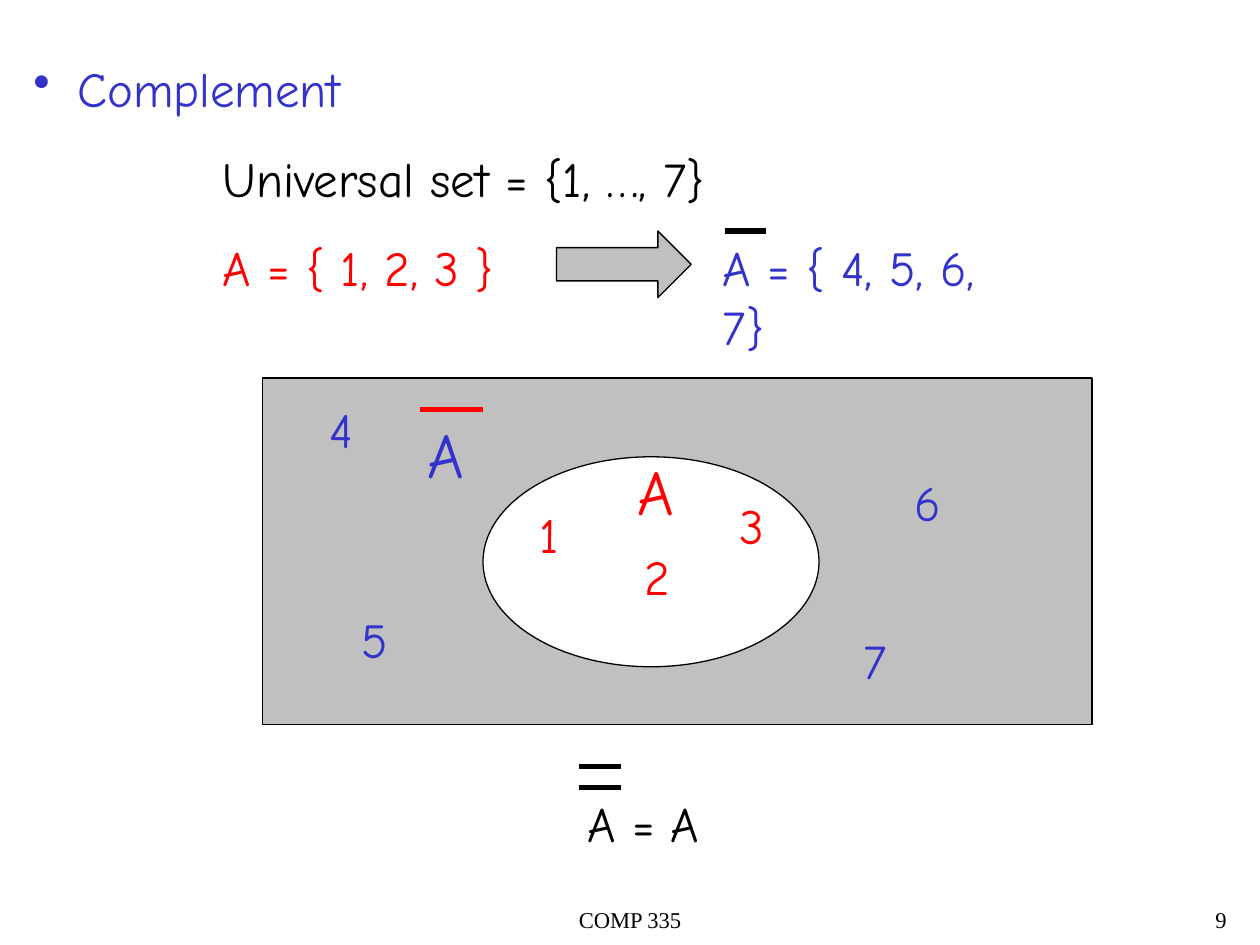
from pptx import Presentation
from pptx.dml.color import RGBColor
from pptx.enum.shapes import MSO_CONNECTOR, MSO_SHAPE
from pptx.enum.text import MSO_ANCHOR, MSO_AUTO_SIZE, PP_ALIGN
from pptx.oxml.ns import qn
from pptx.util import Pt
from lxml.etree import SubElement

BLUE, RED, BLACK, GREY, WHITE = "3333CC", "FF0000", "000000", "C0C0C0", "FFFFFF"


def color(code):
    return RGBColor.from_string(code)


class Board:
    face = "Comic Neue"
    size = 28

    def __init__(self, slide):
        self.slide = slide
        self.items = slide.shapes

    def style(self, para, text, code, size=None, face=None, align=PP_ALIGN.LEFT):
        para.text = text
        para.alignment = align
        font = para.font
        font.name = face or self.face
        font.size = Pt(size or self.size)
        font.color.rgb = color(code)

    def frame(self, x, y, w, h, wrap=True):
        frame = self.items.add_textbox(Pt(x), Pt(y), Pt(w), Pt(h)).text_frame
        frame.word_wrap = wrap
        frame.auto_size = MSO_AUTO_SIZE.NONE if wrap else MSO_AUTO_SIZE.SHAPE_TO_FIT_TEXT
        return frame

    def label(self, text, x, y, w, code):
        frame = self.frame(x, y, w, 41, False)
        self.style(frame.paragraphs[0], text, code)

    def title(self, text, x, y, code):
        frame = self.frame(x, y, 35, 50, False)
        frame.vertical_anchor = MSO_ANCHOR.MIDDLE
        self.style(frame.paragraphs[0], text, code, 36, align=PP_ALIGN.CENTER)

    def footer(self, text, x, w, align):
        para = self.frame(x, 516, w, 24).paragraphs[0]
        para.line_spacing = 0.9
        self.style(para, text, BLACK, 12.9, "Times New Roman", align)

    def outline(self, head, lines, x, y, w, h):
        frame = self.frame(x, y, w, h)
        para = frame.paragraphs[0]
        props = para._p.get_or_add_pPr()
        props.set("marL", str(Pt(25)))
        props.set("indent", str(-Pt(25)))
        tint = SubElement(props, qn("a:buClr"))
        SubElement(tint, qn("a:srgbClr"), val=BLUE)
        SubElement(props, qn("a:buChar"), char="•")
        self.style(para, head, BLUE)
        for text, code in lines:
            para = frame.add_paragraph()
            para._p.get_or_add_pPr().set("marL", str(Pt(108)))
            para.space_before = Pt(17.5)
            self.style(para, text, code)

    def shape(self, kind, x, y, w, h, fill):
        shape = self.items.add_shape(kind, Pt(x), Pt(y), Pt(w), Pt(h))
        shape.shadow.inherit = False
        shape.fill.solid()
        shape.fill.fore_color.rgb = color(fill)
        shape.line.color.rgb = color(BLACK)
        shape.line.width = Pt(0.75)

    def bar(self, x, y, w, code):
        bar = self.items.add_connector(
            MSO_CONNECTOR.STRAIGHT, Pt(x), Pt(y), Pt(x + w), Pt(y))
        bar.line.color.rgb = color(code)
        bar.line.width = Pt(3)
        SubElement(bar._element.spPr, qn("a:effectLst"))


def main():
    deck = Presentation()
    deck.slide_width, deck.slide_height = Pt(720), Pt(540)
    board = Board(deck.slides.add_slide(deck.slide_layouts[6]))

    board.footer("COMP 335", 246, 228, PP_ALIGN.CENTER)
    board.footer("9", 558, 150, PP_ALIGN.RIGHT)

    board.outline("Complement", [("Universal set = {1, …, 7}", BLACK),
                                 ("A = { 1, 2, 3 }", RED)], 12, 30, 696, 143)
    board.label("A = { 4, 5, 6, 7}", 406, 132, 190, BLUE)
    board.bar(414, 132, 24, BLACK)
    board.shape(MSO_SHAPE.RIGHT_ARROW, 318, 132, 77, 38, GREY)

    board.shape(MSO_SHAPE.RECTANGLE, 150, 216, 474, 198, GREY)
    board.shape(MSO_SHAPE.OVAL, 276, 261, 192, 120, WHITE)
    board.title("A", 237, 234, BLUE)
    board.bar(240, 234, 36, RED)
    board.title("A", 357, 255, RED)

    spots = [(301, 285), (361.5, 309), (415.5, 279.5), (181, 224.5),
             (199.5, 345), (515.5, 266.5), (486.5, 356.5)]
    for num, (x, y) in enumerate(spots, 1):
        board.label(str(num), x, y, 28, RED if num < 4 else BLUE)

    board.label("A = A", 328.5, 450, 78.5, BLACK)
    for y in (438, 450):
        board.bar(331, y, 24, BLACK)

    deck.save("out.pptx")


if __name__ == "__main__":
    main()
